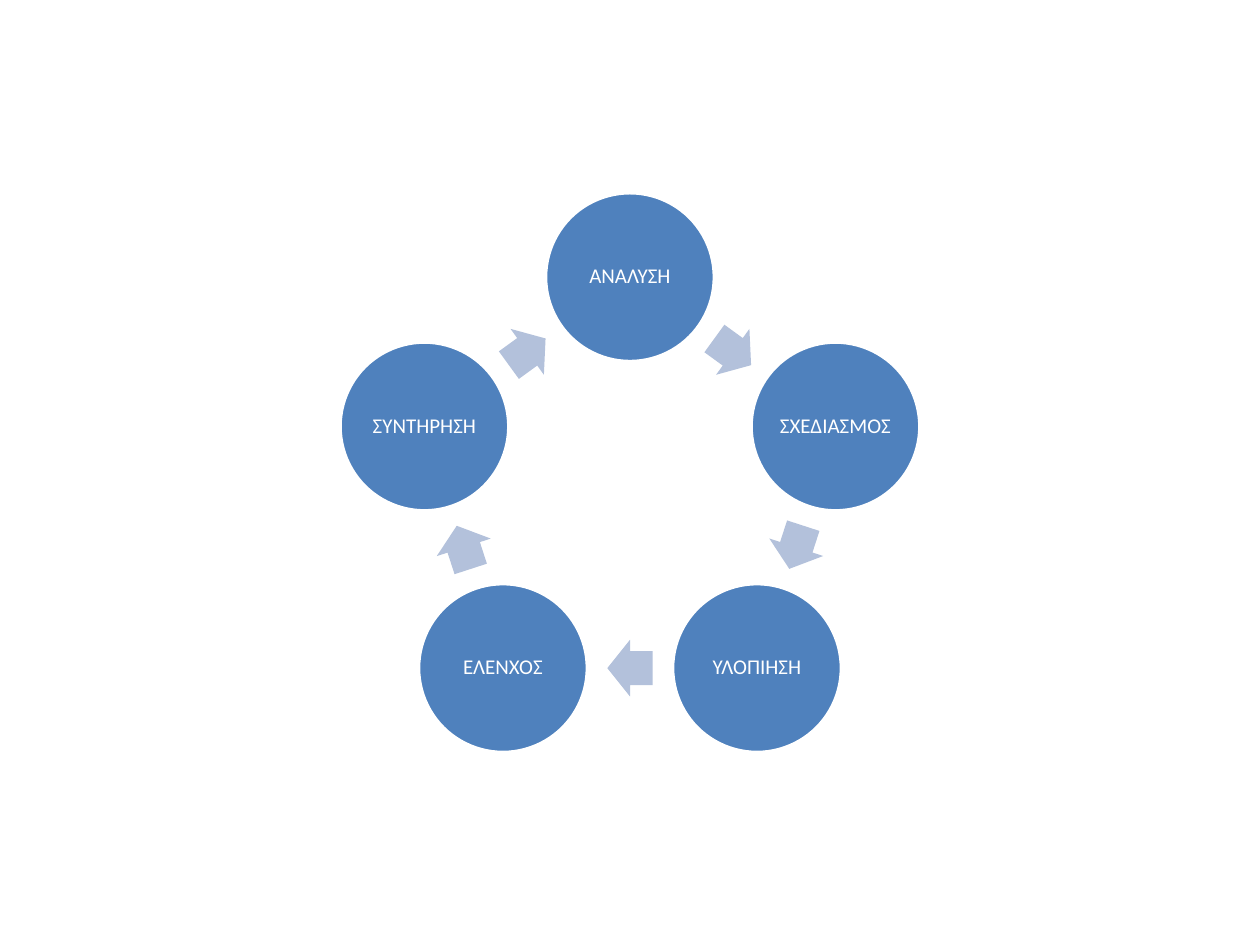
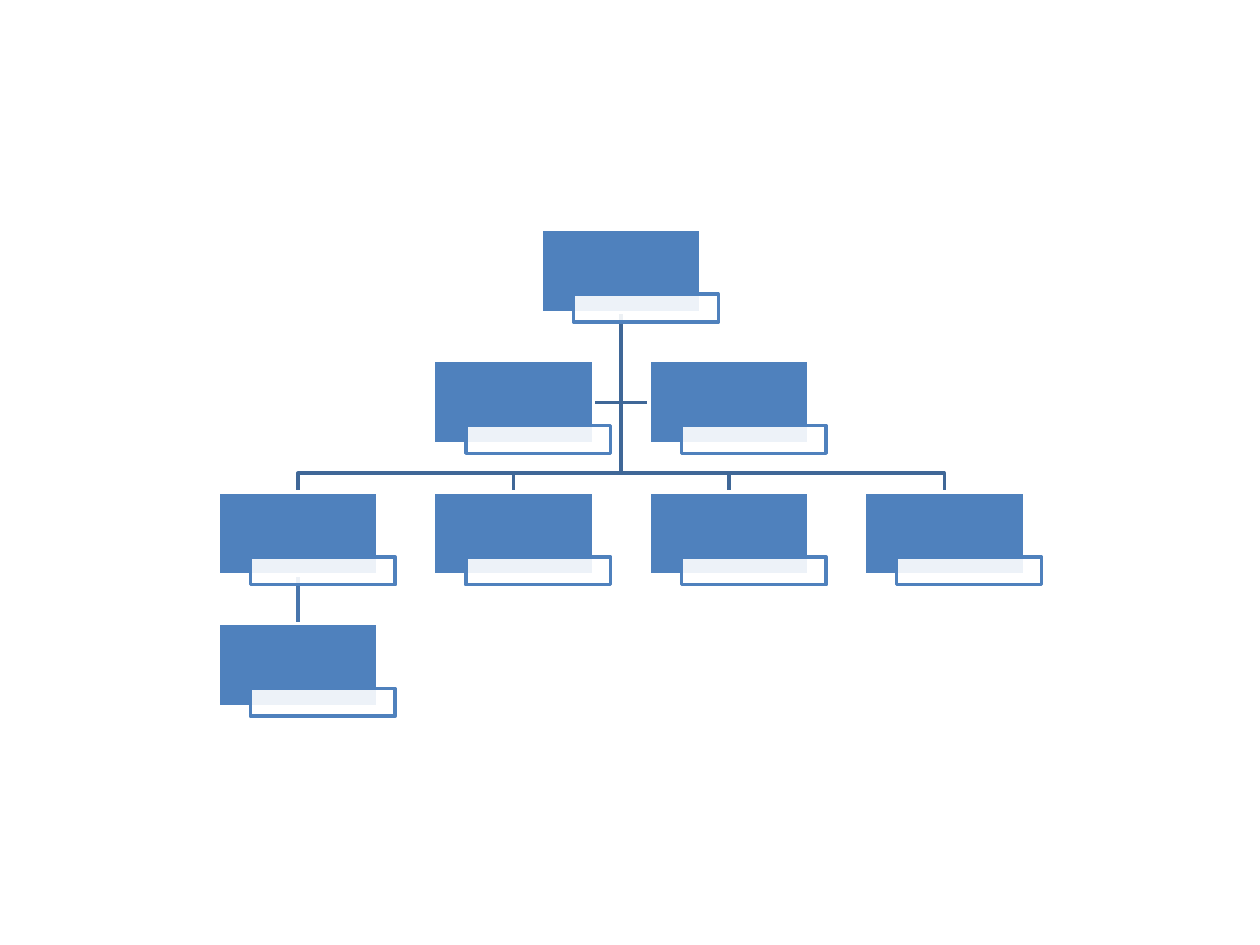
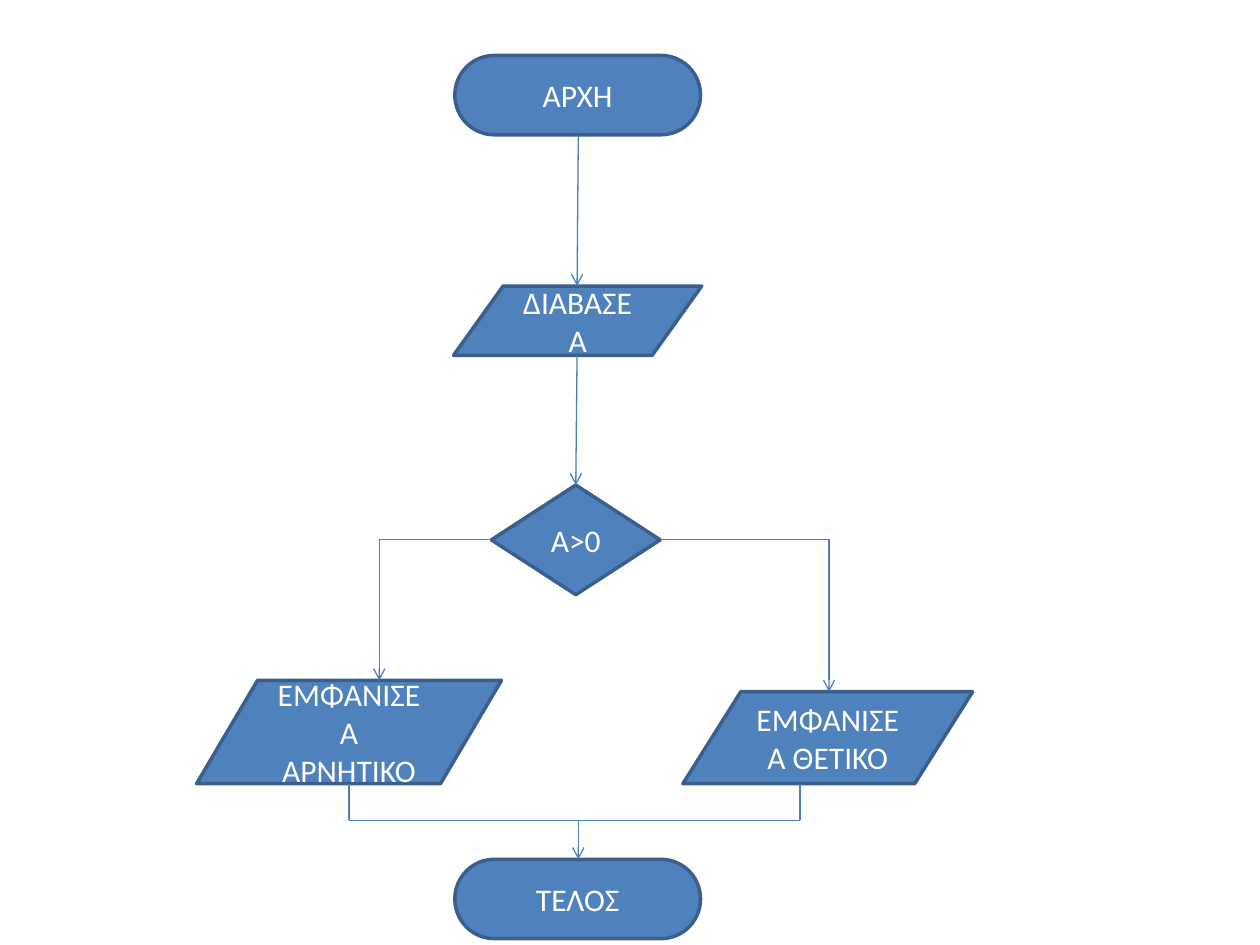
from math import cos, pi, sin

from lxml import etree
from pptx import Presentation
from pptx.dml.color import RGBColor
from pptx.enum.shapes import MSO_CONNECTOR, MSO_SHAPE
from pptx.enum.text import MSO_ANCHOR, PP_ALIGN
from pptx.oxml.ns import qn
from pptx.util import Inches, Pt

ELLIPSE = MSO_SHAPE.OVAL
RECTANGLE = MSO_SHAPE.RECTANGLE
ARROW = MSO_SHAPE.RIGHT_ARROW
TERMINATOR = MSO_SHAPE.FLOWCHART_TERMINATOR
DATA = MSO_SHAPE.FLOWCHART_DATA
DECISION = MSO_SHAPE.FLOWCHART_DECISION
STRAIGHT = MSO_CONNECTOR.STRAIGHT
CENTER = PP_ALIGN.CENTER
MIDDLE = MSO_ANCHOR.MIDDLE

COLORS = {
    "blue": "4F81BD",
    "white": "FFFFFF",
    "pale": "B3C1DB",
    "edge": "3A5F8C",
    "branch": "3F6797",
    "twig": "4875AC",
    "flow": "4B7EBC",
}
FONT = "Calibri"
COLUMNS, ROWS = 100, 75


def color(name):
    return RGBColor.from_string(COLORS[name])


class Board:
    def __init__(self):
        self.deck = Presentation()
        self.deck.slide_width = Inches(10)
        self.deck.slide_height = Inches(7.5)
        self.column = self.deck.slide_width / COLUMNS
        self.row = self.deck.slide_height / ROWS
        self.page = None

    def add_page(self):
        self.page = self.deck.slides.add_slide(self.deck.slide_layouts[6])

    def place(self, column, row):
        return round(column * self.column), round(row * self.row)

    def stroke(self, item, name, width):
        item.line.color.rgb = color(name)
        item.line.width = Pt(width)

    def shape(self, kind, left, top, width, height, fill="blue", line=None, opacity=100):
        box = self.page.shapes.add_shape(kind, *self.place(left, top), *self.place(width, height))
        box.shadow.inherit = False
        box.fill.solid()
        box.fill.fore_color.rgb = color(fill)
        if opacity < 100:
            tint = box.element.spPr.find(qn("a:solidFill"))[0]
            etree.SubElement(tint, qn("a:alpha"), val=str(opacity * 1000))
        if line:
            self.stroke(box, line, 2)
        else:
            box.line.fill.background()
        return box

    def centered(self, kind, x, y, width, height, **style):
        return self.shape(kind, x - width / 2, y - height / 2, width, height, **style)

    def label(self, box, text, size, inset=None, spacing=None):
        frame = box.text_frame
        frame.word_wrap = True
        frame.vertical_anchor = MIDDLE
        if inset is not None:
            frame.margin_left = frame.margin_right = Inches(inset)
            frame.margin_top = frame.margin_bottom = Inches(inset)
        para = frame.paragraphs[0]
        para.alignment = CENTER
        para.line_spacing = spacing
        span = para.add_run()
        span.text = text
        span.font.name = FONT
        span.font.size = Pt(size)
        span.font.color.rgb = color("white")

    def line(self, start, end, name="flow", width=0.75, arrow=False):
        link = self.page.shapes.add_connector(STRAIGHT, *self.place(*start), *self.place(*end))
        self.stroke(link, name, width)
        properties = link.element.spPr
        if arrow:
            etree.SubElement(properties.find(qn("a:ln")), qn("a:tailEnd"), type="arrow")
        etree.SubElement(properties, qn("a:effectLst"))

    def bent_line(self, points, name):
        first, *rest = [self.place(*point) for point in points]
        builder = self.page.shapes.build_freeform(*first)
        builder.add_line_segments(rest, close=False)
        path = builder.convert_to_shape()
        path.shadow.inherit = False
        path.fill.background()
        self.stroke(path, name, 2)


def build_cycle(board):
    board.add_page()
    stages = ["ΑΝΑΛΥΣΗ", "ΣΧΕΔΙΑΣΜΟΣ", "ΥΛΟΠΙΗΣΗ", "ΕΛΕΝΧΟΣ", "ΣΥΝΤΗΡΗΣΗ"]
    radius, middle_x, middle_y = 17.15, 50, 39.15
    step = 2 * pi / len(stages)
    arrow_radius = radius * cos(step / 2)

    def around(distance, turn):
        return middle_x + distance * sin(turn * step), middle_y - distance * cos(turn * step)

    for index, stage in enumerate(stages):
        circle = board.centered(ELLIPSE, *around(radius, index), 13.4, 13.4, line="white")
        board.label(circle, stage, 12, inset=0.02, spacing=0.9)
        arrow = board.centered(ARROW, *around(arrow_radius, index + 0.5), 3.6, 4.5, fill="pale")
        arrow.adjustments[0] = 0.6
        arrow.adjustments[1] = 0.5
        arrow.rotation = (index + 0.5) * 360 / len(stages)


def build_hierarchy(board):
    board.add_page()
    width, height = 12.7, 6.6

    def corner(column, level):
        return 17.3 + 17.1 * column, 18.2 + 10.43 * level

    def top_center(column, level):
        left, top = corner(column, level)
        return left + width / 2, top

    root, assistants = (1.5, 0), [(1, 1), (2, 1)]
    children, grandchild = [(column, 2) for column in range(4)], (0, 3)
    trunk_x, root_top = top_center(*root)
    trunk = (trunk_x, root_top + height)

    for assistant in assistants:
        left, top = corner(*assistant)
        side = left if left > trunk_x else left + width
        elbow_y = top + height / 2
        board.bent_line([trunk, (trunk_x, elbow_y), (side, elbow_y)], "branch")
    for child in children:
        x, top = top_center(*child)
        bus_y = top - 1.5
        board.bent_line([trunk, (trunk_x, bus_y), (x, bus_y), (x, top)], "branch")
    x, top = top_center(*children[0])
    board.line((x, top + height), top_center(*grandchild), "twig", 2)

    for node in [root, *children, grandchild, *assistants]:
        left, top = corner(*node)
        board.shape(RECTANGLE, left, top, width, height, line="white")
        board.shape(RECTANGLE, left + 2.57, top + 5.15, 11.5, 2.2,
                    fill="white", line="blue", opacity=90)


def build_flowchart(board):
    board.add_page()
    spine, read_x, test_x, test_y = 45.9, 45.8, 45.7, 42.8
    no_x, yes_x, no_exit, yes_exit = 30.1, 65.8, 27.7, 63.5
    output_bottom, join_y, end_top = 62.25, 65.1, 68.2

    steps = [
        (TERMINATOR, 36.1, 4.4, 19.5, 6.3, "ΑΡΧΗ"),
        (DATA, 36, 22.7, 19.7, 5.5, "ΔΙΑΒΑΣΕ Α"),
        (DECISION, 39, 38.5, 13.4, 8.7, "Α>0"),
        (DATA, 15.6, 54, 24.2, 8.2, "ΕΜΦΑΝΙΣΕ Α ΑΡΝΗΤΙΚΟ"),
        (DATA, 54.2, 54.9, 23, 7.3, "ΕΜΦΑΝΙΣΕ Α ΘΕΤΙΚΟ"),
        (TERMINATOR, 36.1, end_top, 19.5, 6.3, "ΤΕΛΟΣ"),
    ]
    for *geometry, text in steps:
        board.label(board.shape(*geometry, line="edge"), text, 18)

    arrows = [
        ((spine, 10.7), (read_x, 22.7)),
        ((read_x, 28.2), (test_x, 38.5)),
        ((no_x, test_y), (no_x, 54)),
        ((yes_x, test_y), (yes_x, 54.9)),
        ((spine, join_y), (spine, end_top)),
    ]
    for start, end in arrows:
        board.line(start, end, arrow=True)

    for side, branch_x, exit_x in [(39, no_x, no_exit), (52.4, yes_x, yes_exit)]:
        board.line((side, test_y), (branch_x, test_y))
        board.line((exit_x, join_y), (exit_x, output_bottom))
        board.line((exit_x, join_y), (spine, join_y))


def main():
    board = Board()
    build_cycle(board)
    build_hierarchy(board)
    build_flowchart(board)
    board.deck.save("out.pptx")


if __name__ == "__main__":
    main()
